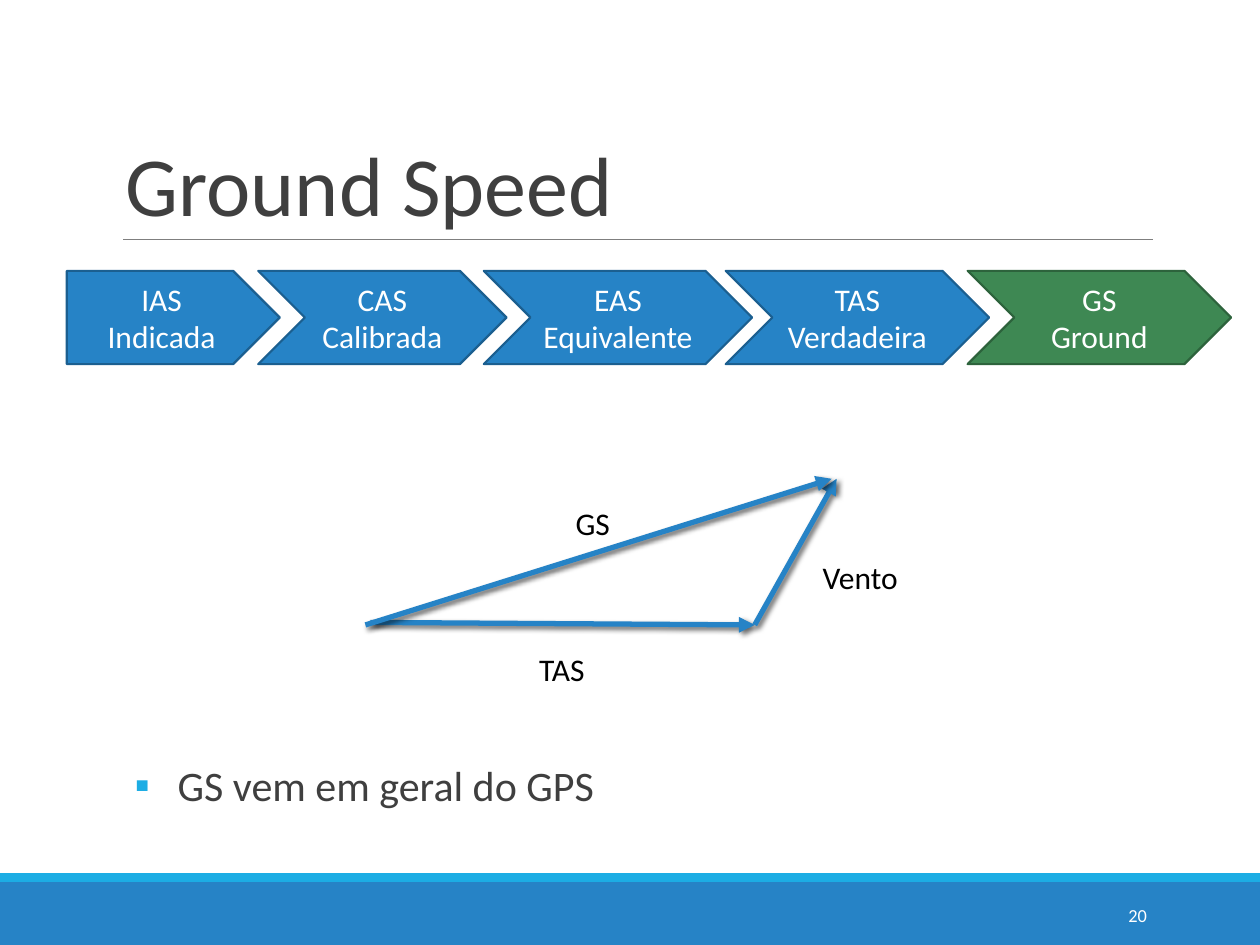
from lxml.etree import SubElement
from pptx import Presentation
from pptx.dml.color import RGBColor
from pptx.enum.shapes import MSO_CONNECTOR, MSO_SHAPE
from pptx.enum.text import MSO_ANCHOR as Anchor, PP_ALIGN as Align
from pptx.oxml import parse_xml
from pptx.oxml.ns import nsdecls, qn
from pptx.util import Inches, Pt


class Theme:
    font = "Calibri"
    blue, blue_edge = "2683C6", "1B5F90"
    green, green_edge = "3E8853", "2D633C"
    accent, rule = "1CADE4", "7F7F7F"
    dark, black, white = "3F3F3F", "000000", "FFFFFF"
    title, body, label, number = 48, 24, 18, 10.5


# Content: speed steps as (lines, left, width)
TITLE = "Ground Speed"
STEPS = [
    (("IAS", "Indicada"), 0.53, 1.69),
    (("CAS", "Calibrada"), 2.05, 1.97),
    (("EAS", "Equivalente"), 3.84, 2.13),
    (("TAS", "Verdadeira"), 5.76, 2.09),
    (("GS", "Ground"), 7.68, 2.09),
]
STEP_TOP, STEP_HEIGHT = 2.15, 0.74
# Vectors as (name, start, end, label box)
VECTORS = [
    ("TAS", (2.94, 4.94), (5.99, 4.96), (4.18, 5.11, 0.57, 0.4)),
    ("Vento", (5.99, 4.96), (6.64, 3.8), (6.43, 4.38, 0.81, 0.4)),
    ("GS", (2.9, 4.96), (6.6, 3.8), (4.47, 3.95, 0.48, 0.4)),
]
NOTE = "GS vem em geral do GPS"
PAGE = "20"


def color(value):
    return RGBColor.from_string(value)


def write(shape, lines, size, ink, align=Align.LEFT, anchor=Anchor.TOP, wrap=True):
    frame = shape.text_frame
    frame.word_wrap = wrap
    frame.vertical_anchor = anchor
    frame.text = "\n".join(lines)
    for paragraph in frame.paragraphs:
        paragraph.alignment = align
        paragraph.font.name = Theme.font
        paragraph.font.size = Pt(size)
        paragraph.font.color.rgb = color(ink)
    return frame


def add_text(slide, box, text, size, ink, **options):
    shape = slide.shapes.add_textbox(*map(Inches, box))
    return write(shape, [text], size, ink, **options)


def add_block(slide, kind, box, fill, edge=None):
    shape = slide.shapes.add_shape(kind, *map(Inches, box))
    shape.shadow.inherit = False
    shape.fill.solid()
    shape.fill.fore_color.rgb = color(fill)
    if edge:
        shape.line.color.rgb = color(edge)
        shape.line.width = Pt(1.25)
    else:
        shape.line.fill.background()
    return shape


def add_line(slide, start, end, ink, width):
    line = slide.shapes.add_connector(
        MSO_CONNECTOR.STRAIGHT, *map(Inches, (*start, *end)))
    line.line.color.rgb = color(ink)
    line.line.width = Pt(width)
    effects = SubElement(line._element.spPr, qn("a:effectLst"))
    return line, effects


def add_vector(slide, start, end):
    line, effects = add_line(slide, start, end, Theme.blue, 3)
    SubElement(line.line._get_or_add_ln(), qn("a:tailEnd"), type="triangle")
    effects.append(parse_xml(
        f'<a:outerShdw {nsdecls("a")} blurRad="{Pt(3)}" dist="{Pt(2)}" '
        f'dir="2700000" rotWithShape="0"><a:srgbClr val="{Theme.black}">'
        '<a:alpha val="60000"/></a:srgbClr></a:outerShdw>'))


def add_bullet(paragraph, indent):
    properties = paragraph._p.get_or_add_pPr()
    properties.set("marL", str(Inches(indent)))
    properties.set("indent", str(-Inches(indent)))
    bullet_color = SubElement(properties, qn("a:buClr"))
    SubElement(bullet_color, qn("a:srgbClr"), val=Theme.accent)
    SubElement(properties, qn("a:buFont"), typeface=Theme.font)
    SubElement(properties, qn("a:buChar"), char="▪")


def main():
    presentation = Presentation()
    presentation.slide_width, presentation.slide_height = Inches(10), Inches(7.5)
    slide = presentation.slides.add_slide(presentation.slide_layouts[6])

    # Footer bands and title
    add_block(slide, MSO_SHAPE.RECTANGLE, (0, 7, 10, 0.5), Theme.blue)
    add_block(slide, MSO_SHAPE.RECTANGLE, (0, 6.93, 10, 0.07), Theme.accent)
    add_line(slide, (0.98, 1.9), (9.15, 1.9), Theme.rule, 0.75)
    title = add_text(slide, (0.9, 0.31, 8.25, 1.59), TITLE, Theme.title,
                     Theme.dark, anchor=Anchor.BOTTOM)
    title.paragraphs[0].line_spacing = 0.85

    # Chain of speeds: flat start, green finish
    for index, (lines, left, width) in enumerate(STEPS):
        kind = MSO_SHAPE.CHEVRON if index else MSO_SHAPE.PENTAGON
        last = index == len(STEPS) - 1
        fill, edge = ((Theme.green, Theme.green_edge) if last
                      else (Theme.blue, Theme.blue_edge))
        step = add_block(slide, kind, (left, STEP_TOP, width, STEP_HEIGHT), fill, edge)
        write(step, lines, Theme.label, Theme.white, Align.CENTER, Anchor.MIDDLE)

    # Wind triangle
    for name, start, end, box in VECTORS:
        add_vector(slide, start, end)
        add_text(slide, box, name, Theme.label, Theme.black, wrap=False)

    # Note and page number
    note = add_text(slide, (1.07, 6, 8.25, 0.5), NOTE, Theme.body, Theme.dark,
                    anchor=Anchor.MIDDLE)
    note.margin_left = note.margin_right = 0
    note.paragraphs[0].line_spacing = 0.9
    add_bullet(note.paragraphs[0], 0.34)
    add_text(slide, (8.12, 7.06, 1.08, 0.4), PAGE, Theme.number, Theme.white,
             align=Align.RIGHT, anchor=Anchor.MIDDLE)

    presentation.save("out.pptx")


if __name__ == "__main__":
    main()
